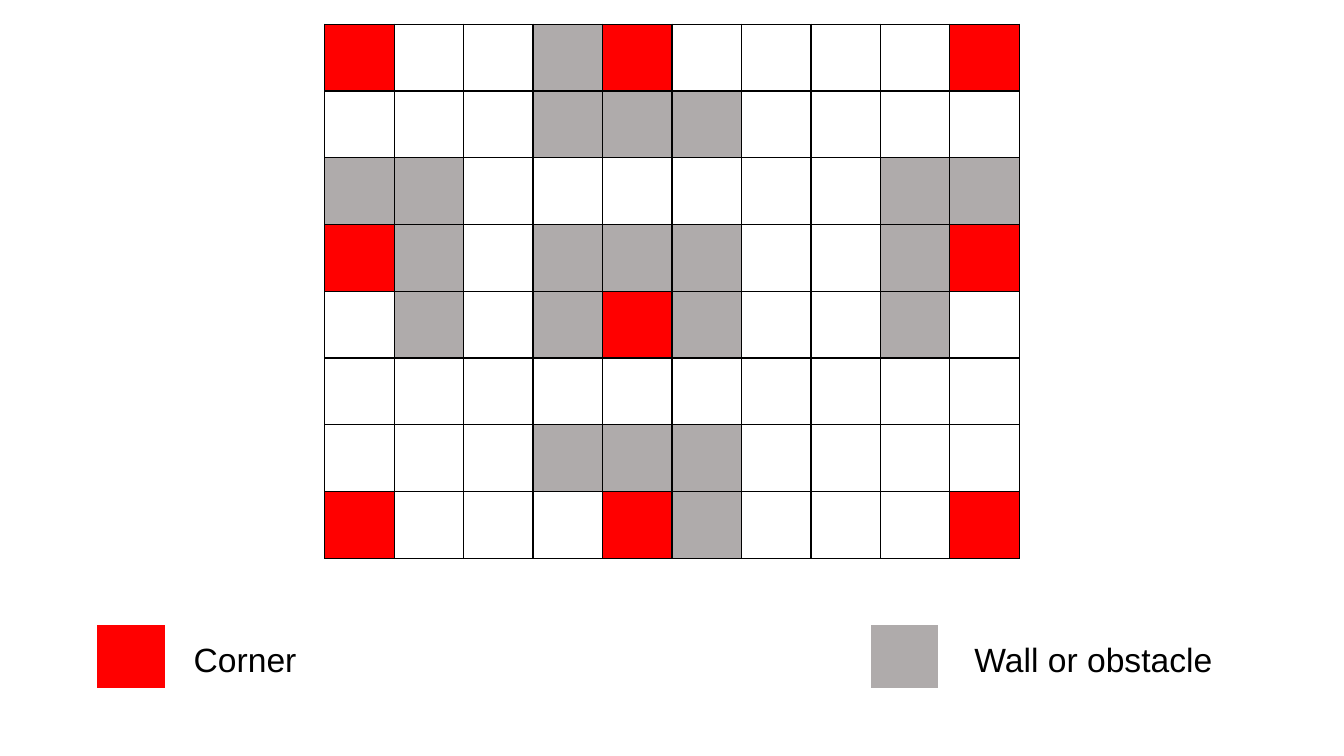
from lxml.etree import SubElement
from pptx import Presentation
from pptx.dml.color import RGBColor
from pptx.enum.text import MSO_ANCHOR as Anchor, PP_ALIGN as Align
from pptx.oxml.ns import qn
from pptx.util import Inches, Pt

CORNER = "FF0000"
WALL = "AFABAB"
FREE = "FFFFFF"
BLACK = "000000"
CELL_COLOURS = {"C": CORNER, "W": WALL, ".": FREE}

# C is a corner, W a wall or obstacle, a dot a free cell
MAZE = [
    "C..WC....C",
    "...WWW....",
    "WW......WW",
    "CW.WWW..WC",
    ".W.WCW..W.",
    "..........",
    "...WWW....",
    "C...CW...C",
]
MAZE_BORDERS = {side: (BLACK, 1) for side in ("lnL", "lnR", "lnT", "lnB")}
LEGEND_BORDERS = {"lnL": (FREE, 1), "lnR": (FREE, 1), "lnT": (FREE, 1), "lnB": (FREE, 3)}


def colour(hex_string):
    return RGBColor.from_string(hex_string)


def set_borders(cell, borders):
    properties = cell._tc.get_or_add_tcPr()
    for position, (side, (hex_string, width)) in enumerate(borders.items()):
        line = SubElement(properties, qn(f"a:{side}"), w=str(Pt(width)))
        fill = SubElement(line, qn("a:solidFill"))
        SubElement(fill, qn("a:srgbClr"), val=hex_string)
        # Border lines come before the cell fill
        properties.insert(position, line)


def add_grid(slide, rows, left, top, width, height, borders):
    row_count, column_count = len(rows), len(rows[0])
    table = slide.shapes.add_table(
        row_count, column_count,
        Inches(left), Inches(top), Inches(width), Inches(height)).table
    table.first_row = False
    table.horz_banding = False
    for row_index, row in enumerate(rows):
        for column_index, kind in enumerate(row):
            cell = table.cell(row_index, column_index)
            cell.fill.solid()
            cell.fill.fore_color.rgb = colour(CELL_COLOURS[kind])
            set_borders(cell, borders)


def add_label(slide, text, left, top, width, height):
    text_frame = slide.shapes.add_textbox(
        Inches(left), Inches(top), Inches(width), Inches(height)).text_frame
    text_frame.word_wrap = True
    text_frame.vertical_anchor = Anchor.TOP
    text_frame.text = text
    paragraph = text_frame.paragraphs[0]
    paragraph.alignment = Align.CENTER
    paragraph.line_spacing = 0.9
    font = paragraph.runs[0].font
    font.name = "Arial"
    font.size = Pt(24)
    font.color.rgb = colour(BLACK)


def add_legend_entry(slide, kind, text, left, label_width):
    add_grid(slide, [kind], left, 6.19, 0.68, 0.65, LEGEND_BORDERS)
    add_label(slide, text, left + 0.68, 6.33, label_width, 0.51)


def main():
    presentation = Presentation()
    presentation.slide_width = Inches(13.33)
    presentation.slide_height = Inches(7.5)
    slide = presentation.slides.add_slide(presentation.slide_layouts[6])

    # Maze
    add_grid(slide, MAZE, 3.22, 0.24, 6.89, 5.3, MAZE_BORDERS)

    # Legend
    add_legend_entry(slide, "C", "Corner", 0.96, 1.58)
    add_legend_entry(slide, "W", "Wall or obstacle", 8.63, 3.07)

    presentation.save("out.pptx")


if __name__ == "__main__":
    main()
